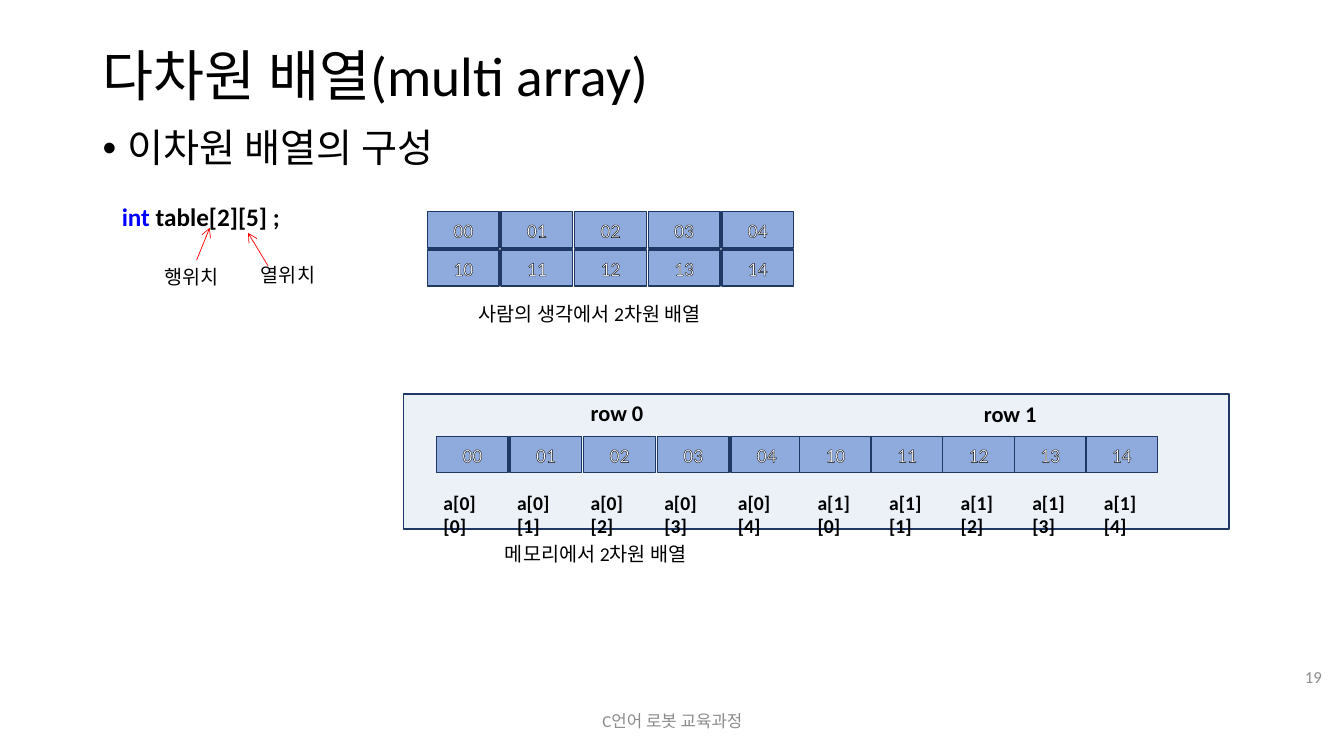
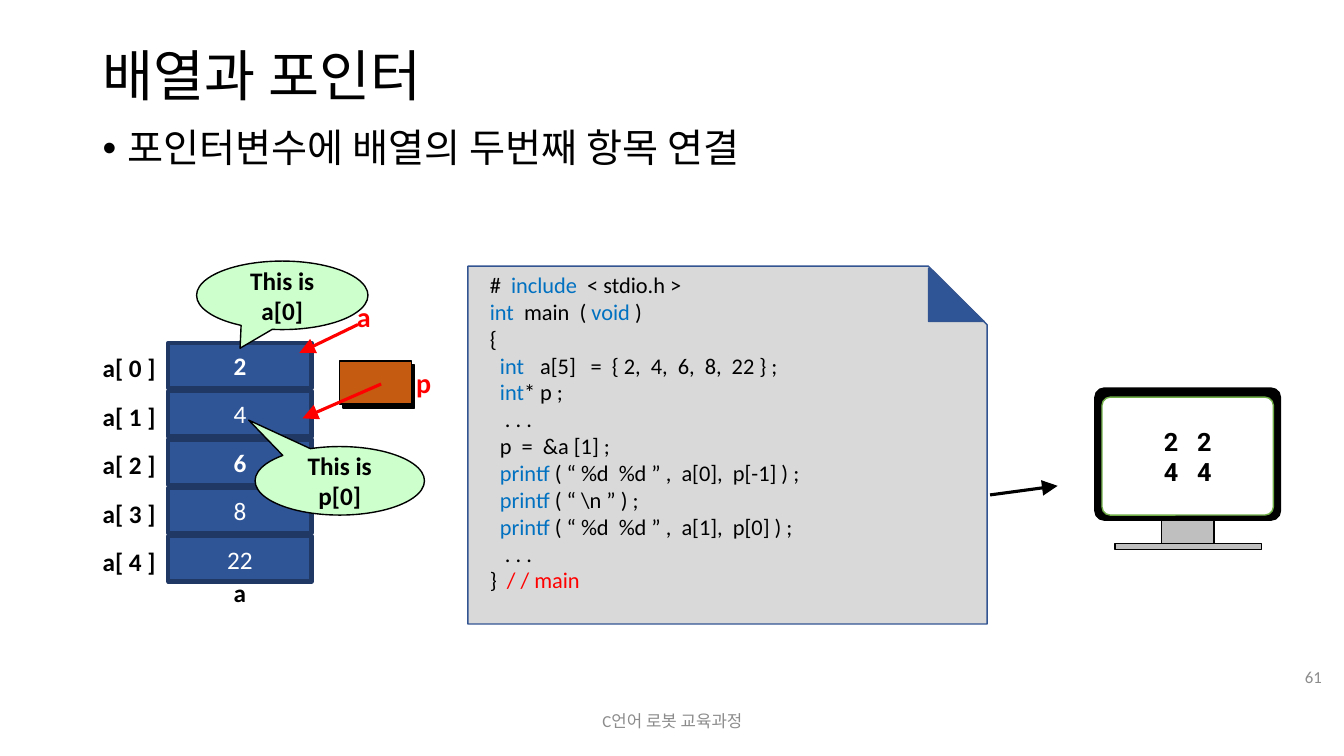
"""Build two lecture slides about multidimensional arrays and pointers in C."""
from dataclasses import dataclass
from typing import NamedTuple, Sequence

from lxml.etree import SubElement
from pptx import Presentation
from pptx.dml.color import RGBColor
from pptx.enum.shapes import MSO_CONNECTOR, MSO_SHAPE
from pptx.enum.text import MSO_ANCHOR, MSO_AUTO_SIZE, PP_ALIGN
from pptx.oxml import parse_xml
from pptx.oxml.ns import nsdecls, qn
from pptx.util import Inches, Pt

BLACK = RGBColor(0x00, 0x00, 0x00)
WHITE = RGBColor(0xFF, 0xFF, 0xFF)
RED = RGBColor(0xFF, 0x00, 0x00)
KEYWORD_BLUE = RGBColor(0x00, 0x00, 0xFF)
CODE_BLUE = RGBColor(0x00, 0x70, 0xC0)
NAVY = RGBColor(0x20, 0x38, 0x64)
DEEP_BLUE = RGBColor(0x2F, 0x55, 0x97)
PAGE_EDGE = RGBColor(0x32, 0x54, 0x91)
CELL_BLUE = RGBColor(0x8F, 0xAA, 0xDC)
MEMORY_BLUE = RGBColor(0xEC, 0xF1, 0xF8)
PAPER_GREY = RGBColor(0xD9, 0xD9, 0xD9)
STAND_GREY = RGBColor(0xBF, 0xBF, 0xBF)
FOOTER_GREY = RGBColor(0x8C, 0x8C, 0x8C)
ORANGE = RGBColor(0xC5, 0x5A, 0x11)
MINT = RGBColor(0xCC, 0xFF, 0xCC)
SCREEN_GREEN = RGBColor(0x70, 0xAD, 0x47)


class Box(NamedTuple):
    """Left, top, width and height in inches."""
    left: float
    top: float
    width: float
    height: float

    def lengths(self) -> tuple:
        """Return the box as slide lengths."""
        return tuple(Inches(value) for value in self)


class Span(NamedTuple):
    """A stretch of text in one colour."""
    text: str
    color: RGBColor = BLACK


@dataclass(frozen=True)
class Style:
    """The look of a text."""
    size: float
    color: RGBColor = BLACK
    bold: bool = False
    font: str = "Calibri"
    align: PP_ALIGN = PP_ALIGN.LEFT
    anchor: MSO_ANCHOR = MSO_ANCHOR.TOP


@dataclass(frozen=True)
class Look:
    """The preset, fill and outline of a shape."""
    preset: MSO_SHAPE
    fill: RGBColor
    edge: RGBColor = BLACK
    edge_width: float = 1
    adjustments: tuple = ()


@dataclass(frozen=True)
class MemoryRow:
    """One array row as it lies in memory."""
    number: int
    left: float
    step: float
    label_left: float
    heading: Box


MIDDLE = {"align": PP_ALIGN.CENTER, "anchor": MSO_ANCHOR.MIDDLE}
TITLE = Style(39.6, anchor=MSO_ANCHOR.MIDDLE)
TOPIC = Style(28)
FOOTER = Style(12, FOOTER_GREY, **MIDDLE)
PAGE_NUMBER = Style(12, FOOTER_GREY, align=PP_ALIGN.RIGHT, anchor=MSO_ANCHOR.MIDDLE)
CAPTION = Style(14)
POSITION = Style(14, font="Arial")
INDEX = Style(14, bold=True)
ROW_HEADING = Style(16, bold=True)
STRONG = Style(18, bold=True)
POINTER = Style(20, RED, bold=True)
CODE = Style(16)
CELL_TEXT = Style(14, WHITE, **MIDDLE)
VALUE = Style(18, WHITE, **MIDDLE)
STRONG_VALUE = Style(18, WHITE, bold=True, **MIDDLE)
CALLOUT_TEXT = Style(18, bold=True, **MIDDLE)
OUTPUT = Style(18, bold=True, font="Roboto", **MIDDLE)

CELL = Look(MSO_SHAPE.RECTANGLE, CELL_BLUE, NAVY)
MEMORY = Look(MSO_SHAPE.RECTANGLE, MEMORY_BLUE, NAVY)
ELEMENT = Look(MSO_SHAPE.RECTANGLE, DEEP_BLUE, NAVY, 3)
STAND = Look(MSO_SHAPE.RECTANGLE, STAND_GREY)

COLUMNS = 5
CELL_WIDTH, CELL_HEIGHT = 0.71, 0.36
CELL_STEP = 0.73
MEMORY_ROWS = (
    MemoryRow(0, 4.33, CELL_STEP, 4.3, Box(5.76, 3.91, 1.22, 0.37)),
    MemoryRow(1, 7.93, 0.71, 8.01, Box(9.66, 3.92, 1.22, 0.37)),
)
ELEMENTS = (("2", STRONG_VALUE), ("4", VALUE), ("6", STRONG_VALUE), ("8", VALUE), ("22", VALUE))
ELEMENT_STEP = 0.48
CODE_LINES = (
    (Span("# "), Span(" include  ", CODE_BLUE), Span("< stdio.h >")),
    (Span("int  ", CODE_BLUE), Span("main  ( "), Span("void ", CODE_BLUE), Span(")")),
    (Span("{"),),
    (Span("  int\t", CODE_BLUE), Span("a[5]\t=  { 2,  4,  6,  8,  22 } ;")),
    (Span("  int", CODE_BLUE), Span("*\tp ;")),
    (Span("   . . ."),),
    (Span("  p  =  &a [1] ;"),),
    (Span("  printf", CODE_BLUE), Span(" ( “ %d  %d ” ,  a[0],  p[-1] ) ;")),
    (Span("  printf", CODE_BLUE), Span(r" ( “ \n ” ) ;")),
    (Span("  printf", CODE_BLUE), Span(" ( “ %d  %d ” ,  a[1],  p[0] ) ;")),
    (Span("   . . ."),),
    (Span("}  "), Span("/ / main", RED)),
)


def format_run(run, style: Style, color: RGBColor) -> None:
    """Give a run its font."""
    run.font.name = style.font
    run.font.size = Pt(style.size)
    run.font.bold = style.bold
    run.font.color.rgb = color


def format_frame(frame, style: Style) -> None:
    """Set wrapping, anchor, alignment and fonts of a text frame."""
    frame.word_wrap = True
    frame.auto_size = MSO_AUTO_SIZE.NONE
    frame.vertical_anchor = style.anchor
    for paragraph in frame.paragraphs:
        paragraph.alignment = style.align
        for run in paragraph.runs:
            format_run(run, style, style.color)


def add_text(slide, box: Box, text: str, style: Style):
    """Add a text box in one style and return its frame."""
    frame = slide.shapes.add_textbox(*box.lengths()).text_frame
    frame.text = text
    format_frame(frame, style)
    return frame


def add_spans(slide, box: Box, lines: Sequence[Sequence[Span]], style: Style) -> None:
    """Add a text box whose lines are made of coloured spans."""
    frame = add_text(slide, box, "", style)
    for number, spans in enumerate(lines):
        paragraph = frame.add_paragraph() if number else frame.paragraphs[0]
        for span in spans:
            run = paragraph.add_run()
            run.text = span.text
            format_run(run, style, span.color)


def add_figure(slide, box: Box, look: Look, text: str = "", style: Style = CELL_TEXT):
    """Add a preset shape, with text if there is any."""
    shape = slide.shapes.add_shape(look.preset, *box.lengths())
    shape.shadow.inherit = False
    shape.fill.solid()
    shape.fill.fore_color.rgb = look.fill
    shape.line.color.rgb = look.edge
    shape.line.width = Pt(look.edge_width)
    for position, value in enumerate(look.adjustments):
        shape.adjustments[position] = value
    if text:
        shape.text_frame.text = text
        format_frame(shape.text_frame, style)
    return shape


def add_arrow(slide, start: tuple, end: tuple, color: RGBColor, width: float = 2.25,
              head: str = "triangle", size: str = "lg") -> None:
    """Add a straight arrow that points at its end."""
    points = [Inches(value) for value in (*start, *end)]
    arrow = slide.shapes.add_connector(MSO_CONNECTOR.STRAIGHT, *points)
    arrow.line.color.rgb = color
    arrow.line.width = Pt(width)
    SubElement(arrow.line._get_or_add_ln(), qn("a:tailEnd"), type=head, w=size, len=size)
    SubElement(arrow._element.spPr, qn("a:effectLst"))


def add_cell(slide, left: float, top: float, text: str) -> None:
    """Add an array cell with outlined digits."""
    cell = add_figure(slide, Box(left, top, CELL_WIDTH, CELL_HEIGHT), CELL, text)
    outline = parse_xml(f'<a:ln {nsdecls("a")} w="9525"><a:solidFill>'
                        f'<a:srgbClr val="{BLACK}"/></a:solidFill></a:ln>')
    cell.text_frame.paragraphs[0].runs[0].font._element.insert(0, outline)


def add_slide(deck, title: str, topic: str, number: int):
    """Add a slide with its title, bulleted topic, footer and number."""
    slide = deck.slides.add_slide(deck.slide_layouts[5])
    heading = slide.shapes.title
    heading.left, heading.top, heading.width, heading.height = Box(0.92, 0.4, 11.5, 0.75).lengths()
    heading.text_frame.text = title
    format_frame(heading.text_frame, TITLE)
    heading.text_frame.paragraphs[0].line_spacing = 0.9

    paragraph = add_text(slide, Box(0.92, 1.23, 11.5, 0.6), topic, TOPIC).paragraphs[0]
    paragraph.line_spacing = 0.9
    properties = paragraph._p.get_or_add_pPr()
    properties.set("marL", str(Inches(0.25)))
    properties.set("indent", str(-Inches(0.25)))
    SubElement(properties, qn("a:buFont"), typeface="Arial")
    SubElement(properties, qn("a:buChar"), char="•")

    add_text(slide, Box(4.42, 6.95, 4.5, 0.4), "C언어 로봇 교육과정", FOOTER)
    add_text(slide, Box(12.59, 6.51, 0.62, 0.4), str(number), PAGE_NUMBER)
    return slide


def build_array_slide(deck) -> None:
    """Show a two-dimensional array as a grid and in memory."""
    slide = add_slide(deck, "다차원 배열(multi array)", "이차원 배열의 구성", 19)
    declaration = (Span("int", KEYWORD_BLUE), Span(" table[2][5] ;"))
    add_spans(slide, Box(1.11, 1.95, 2.2, 0.4), [declaration], STRONG)
    add_text(slide, Box(1.53, 2.58, 1.34, 0.34), "행위치", POSITION)
    add_text(slide, Box(2.49, 2.56, 1.34, 0.34), "열위치", POSITION)
    for start, end in (((2.66, 2.64), (2.46, 2.31)), ((1.95, 2.58), (2.08, 2.26))):
        add_arrow(slide, start, end, RED, 0.5, "arrow", "med")

    add_figure(slide, Box(4, 3.91, 8.19, 1.34), MEMORY)
    for row in MEMORY_ROWS:
        add_text(slide, row.heading, f"row {row.number}", ROW_HEADING)
        for column in range(COLUMNS):
            digits = f"{row.number}{column}"
            add_cell(slide, 4.24 + CELL_STEP * column, 2.1 + 0.38 * row.number, digits)
            add_cell(slide, row.left + row.step * column, 4.33, digits)
            label = Box(row.label_left + row.step * column, 4.82, CELL_WIDTH, 0.34)
            add_text(slide, label, f"a[{row.number}][{column}]", INDEX)
    add_text(slide, Box(4.65, 2.95, 2.75, 0.34), "사람의 생각에서 2차원 배열", CAPTION)
    add_text(slide, Box(4.91, 5.33, 2.38, 0.34), "메모리에서 2차원 배열", CAPTION)


def add_monitor(slide) -> None:
    """Draw the monitor with the program output."""
    bezel = Look(MSO_SHAPE.ROUNDED_RECTANGLE, BLACK, adjustments=(0.07,))
    screen = Look(MSO_SHAPE.ROUNDED_RECTANGLE, WHITE, SCREEN_GREEN, adjustments=(0.07,))
    add_figure(slide, Box(11.52, 5.11, 0.52, 0.28), STAND)
    add_figure(slide, Box(10.86, 3.85, 1.84, 1.31), bezel)
    add_figure(slide, Box(10.93, 3.94, 1.7, 1.17), screen, "2   2\n4   4", OUTPUT)
    add_figure(slide, Box(11.06, 5.39, 1.45, 0.06), STAND)


def build_pointer_slide(deck) -> None:
    """Show a pointer to the second array element."""
    slide = add_slide(deck, "배열과 포인터", "포인터변수에 배열의 두번째 항목 연결", 61)
    for index, (value, style) in enumerate(ELEMENTS):
        drop = ELEMENT_STEP * index
        add_figure(slide, Box(1.67, 3.4 + drop, 1.42, 0.45), ELEMENT, value, style)
        add_text(slide, Box(0.92, 3.45 + drop, 0.74, 0.4), f"a[ {index} ]", STRONG)
    add_text(slide, Box(2.22, 5.68, 0.74, 0.4), "a", STRONG)

    for left, top, color in ((3.4, 3.62, BLACK), (3.37, 3.58, ORANGE)):
        add_figure(slide, Box(left, top, 0.71, 0.43), Look(MSO_SHAPE.RECTANGLE, color))
    add_text(slide, Box(4.03, 3.58, 0.55, 0.44), "p", POINTER)
    add_text(slide, Box(3.44, 2.92, 0.55, 0.44), "a", POINTER)
    add_arrow(slide, (3.55, 3.22), (2.97, 3.5), RED)
    add_arrow(slide, (3.78, 3.81), (3, 4.15), RED)

    page = Look(MSO_SHAPE.SNIP_1_RECTANGLE, PAPER_GREY, PAGE_EDGE, adjustments=(0.164,))
    add_figure(slide, Box(4.64, 2.64, 5.15, 3.55), page)
    add_figure(slide, Box(9.21, 2.66, 0.55, 0.53),
               Look(MSO_SHAPE.RIGHT_TRIANGLE, DEEP_BLUE, PAGE_EDGE))
    add_spans(slide, Box(4.76, 2.64, 5.2, 3.37), CODE_LINES, CODE)
    add_arrow(slide, (9.82, 4.91), (10.49, 4.82), BLACK)
    add_monitor(slide)

    for box, tip, text in ((Box(1.95, 2.59, 1.7, 0.68), (-0.246, 0.771), "This is a[0]"),
                           (Box(2.53, 4.43, 1.68, 0.68), (-0.538, -0.886), "This is p[0]")):
        callout = Look(MSO_SHAPE.OVAL_CALLOUT, MINT, adjustments=tip)
        add_figure(slide, box, callout, text, CALLOUT_TEXT)


def main() -> None:
    """Build and save the deck."""
    deck = Presentation()
    deck.slide_width, deck.slide_height = Inches(13.33), Inches(7.5)
    build_array_slide(deck)
    build_pointer_slide(deck)
    deck.save("out.pptx")


if __name__ == "__main__":
    main()
